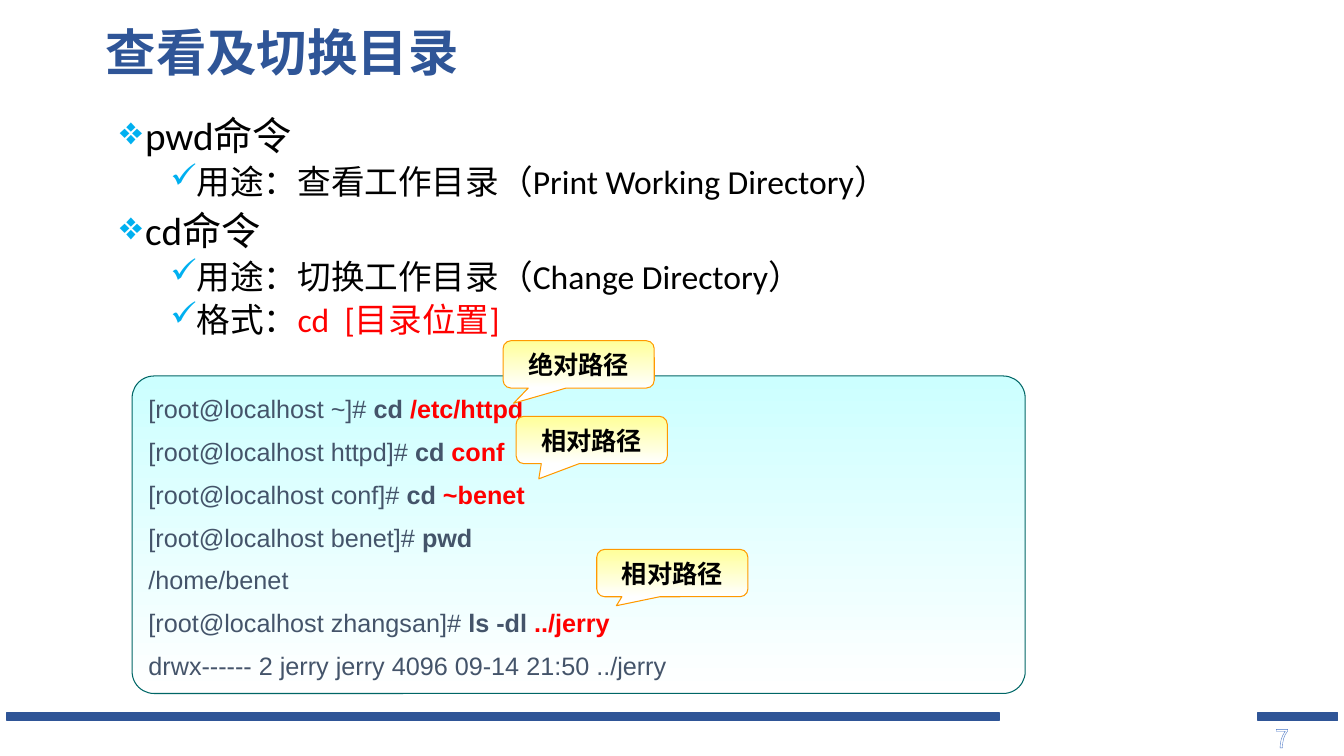
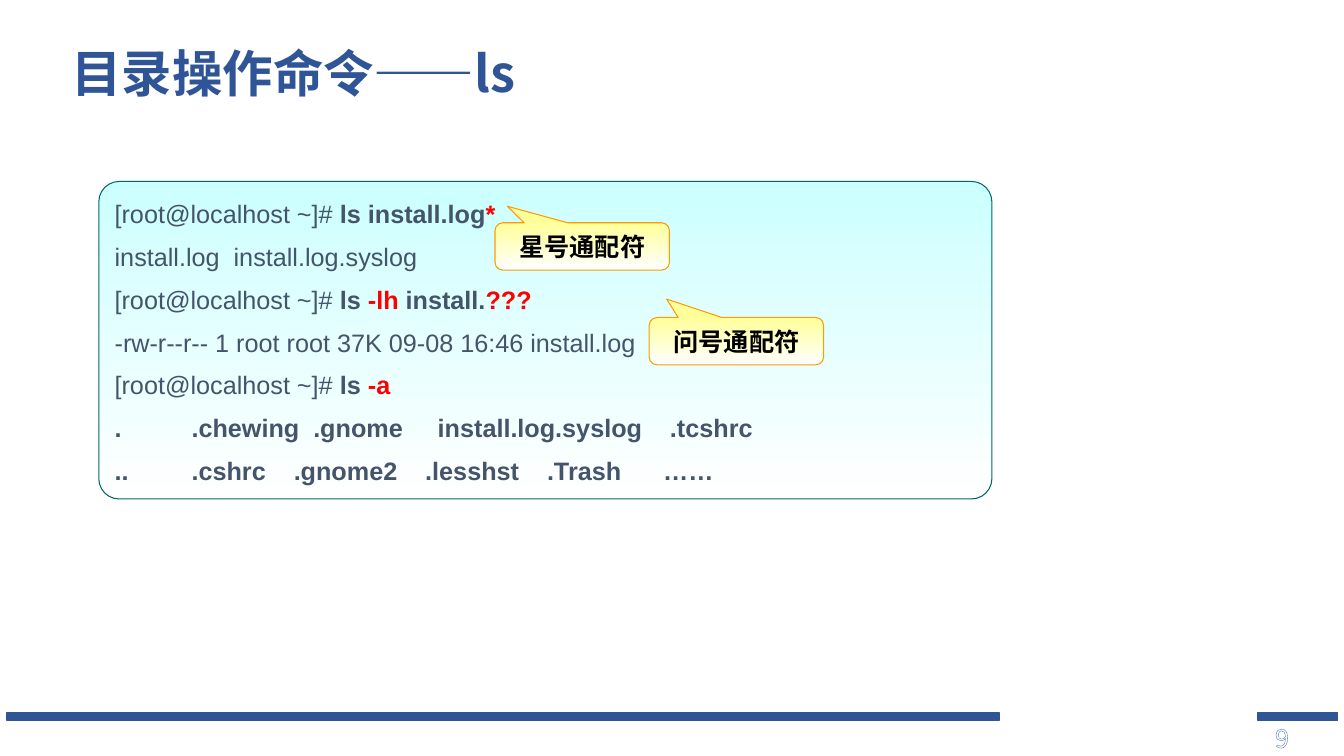
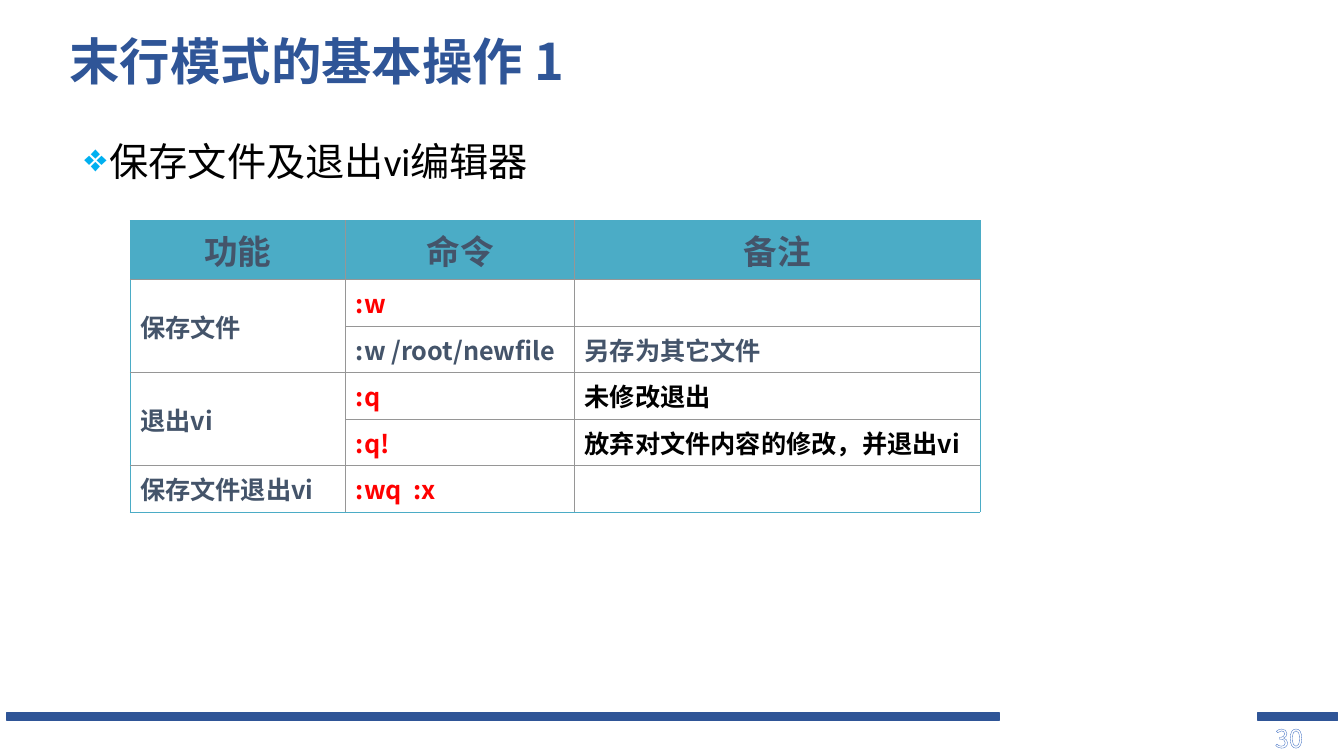
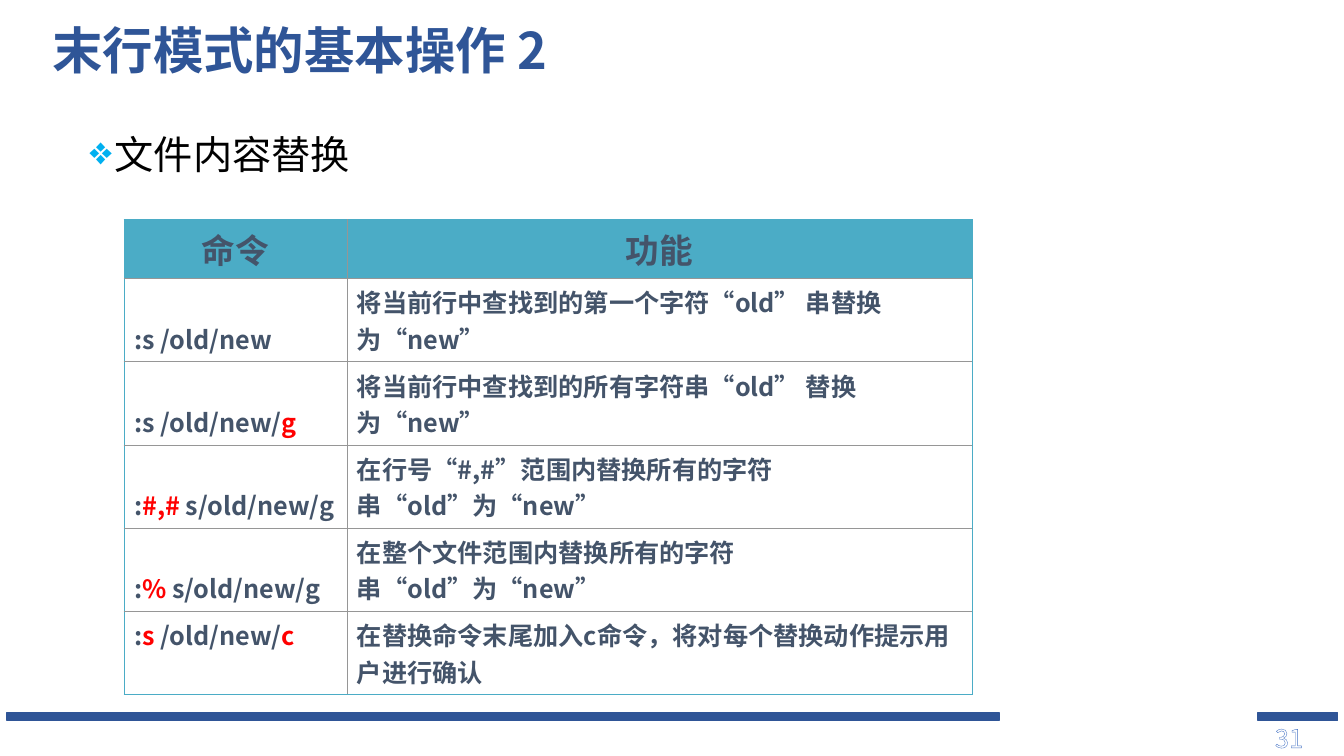
from lxml import etree
from pptx import Presentation
from pptx.dml.color import RGBColor
from pptx.enum.dml import MSO_PATTERN
from pptx.enum.shapes import MSO_SHAPE
from pptx.enum.text import MSO_ANCHOR, PP_ALIGN
from pptx.oxml.ns import qn
from pptx.util import Inches, Pt

RECTANGLE = MSO_SHAPE.RECTANGLE
ROUNDED = MSO_SHAPE.ROUNDED_RECTANGLE
CALLOUT = MSO_SHAPE.ROUNDED_RECTANGULAR_CALLOUT
HATCH = MSO_PATTERN.LIGHT_DOWNWARD_DIAGONAL
TOP, MIDDLE, BOTTOM = MSO_ANCHOR.TOP, MSO_ANCHOR.MIDDLE, MSO_ANCHOR.BOTTOM
LEFT, CENTER = PP_ALIGN.LEFT, PP_ALIGN.CENTER

COLORS = {
    "blue": "2F5597", "black": "000000", "white": "FFFFFF", "red": "FF0000",
    "slate": "44546A", "bullet": "00B0F0", "hatch": "8FAADC", "outline": "4472C4",
    "code": "CCFFFF", "code line": "006666", "note": "FFFF99", "note line": "FF9900",
    "header": "4BACC6", "grid": "969696",
}
CJK, LATIN, CODE = "Noto Sans CJK SC", "Calibri", "Arial"

# bullet sign, text size, left margin in inches, space before in points
BULLETS = [("❖", 28, 0.25, 6.8), ("✓", 24, 0.75, 4.8)]
HANGING = 0.25


def rgb(name):
    return RGBColor.from_string(COLORS[name])


def add_solid_fill(parent, color):
    fill = etree.SubElement(parent, qn("a:solidFill"))
    etree.SubElement(fill, qn("a:srgbClr"), val=COLORS[color])


class Deck:
    """Holds the style and the current slide; lengths are percent of the slide."""

    def __init__(self):
        self.presentation = Presentation()
        self.presentation.slide_width = Inches(13.33)
        self.presentation.slide_height = Inches(7.5)
        self.slide = None

    def x(self, share):
        return round(self.presentation.slide_width * share / 100)

    def y(self, share):
        return round(self.presentation.slide_height * share / 100)

    def box(self, left, top, width, height):
        return self.x(left), self.y(top), self.x(width), self.y(height)

    def new_slide(self, number, title, left, top):
        self.slide = self.presentation.slides.add_slide(self.presentation.slide_layouts[6])
        for band_left, band_width in ((0.53, 73.8), (93.6, 5.93)):
            band = self.shape(RECTANGLE, (band_left, 94.27, band_width, 1.07), "blue", 1)
            band.fill.solid()
            band.fill.fore_color.rgb = rgb("blue")
        self.page_number(number)
        frame = self.text_box((left, top, 71.85, 9.33), MIDDLE)
        paragraph = frame.paragraphs[0]
        paragraph.line_spacing = 0.9
        self.add_runs(paragraph, title, CJK, 36, "blue", True)

    def page_number(self, number):
        paragraph = self.text_box((94.13, 94.93, 5.4, 5.33)).paragraphs[0]
        self.add_runs(paragraph, str(number), CJK, 18, "blue")
        run = paragraph.runs[0]
        fill = run.font.fill
        fill.patterned()
        fill.pattern = HATCH
        fill.fore_color.rgb = rgb("hatch")
        fill.back_color.rgb = rgb("white")
        outline = etree.Element(qn("a:ln"), w=str(Pt(1)))
        add_solid_fill(outline, "outline")
        run._r.get_or_add_rPr().insert(0, outline)

    def text_box(self, box, anchor=TOP):
        frame = self.slide.shapes.add_textbox(*self.box(*box)).text_frame
        frame.word_wrap = True
        frame.vertical_anchor = anchor
        return frame

    def shape(self, kind, box, line, line_width, gradient=None):
        shape = self.slide.shapes.add_shape(kind, *self.box(*box))
        shape.shadow.inherit = False
        shape.line.color.rgb = rgb(line)
        shape.line.width = Pt(line_width)
        if gradient:
            shape.fill.gradient()
            shape.fill.gradient_angle = 270
            for stop, color in zip(shape.fill.gradient_stops, (gradient, "white")):
                stop.color.rgb = rgb(color)
        return shape

    def add_runs(self, paragraph, parts, font, size, color, bold=False):
        """Parts are a string, or a list of strings and (text, color, bold) tuples."""
        for part in [parts] if isinstance(parts, str) else parts:
            text, part_color, part_bold = (part, color, bold) if isinstance(part, str) else part
            run = paragraph.add_run()
            run.text = text
            run.font.name = font
            run.font.size = Pt(size)
            run.font.bold = part_bold
            run.font.color.rgb = rgb(part_color)
            etree.SubElement(run._r.get_or_add_rPr(), qn("a:ea"), typeface=CJK)

    def paragraphs(self, frame, count):
        return [frame.paragraphs[0]] + [frame.add_paragraph() for _ in range(count - 1)]

    def bullets(self, left, top, height, items):
        """Items are (level, parts) pairs."""
        frame = self.text_box((left, top, 69.75, height))
        for index, paragraph in enumerate(self.paragraphs(frame, len(items))):
            level, parts = items[index]
            sign, size, margin, space = BULLETS[level]
            paragraph.level = level
            paragraph.line_spacing = 0.9
            if index:
                paragraph.space_before = Pt(space)
            properties = paragraph._p.get_or_add_pPr()
            properties.set("marL", str(Inches(margin)))
            properties.set("indent", str(-Inches(HANGING)))
            color = etree.SubElement(properties, qn("a:buClr"))
            etree.SubElement(color, qn("a:srgbClr"), val=COLORS["bullet"])
            etree.SubElement(properties, qn("a:buChar"), char=sign)
            self.add_runs(paragraph, parts, LATIN, size, "black")

    def terminal(self, left, top, corner, lines):
        panel = self.shape(ROUNDED, (left, top, 66.45, 42), "code line", 0.75, "code")
        panel.adjustments[0] = corner
        frame = panel.text_frame
        frame.word_wrap = True
        frame.vertical_anchor = TOP
        for index, paragraph in enumerate(self.paragraphs(frame, len(lines))):
            paragraph.alignment = LEFT
            paragraph.line_spacing = 1.2
            if index:
                paragraph.space_before = Pt(4.7)
            self.add_runs(paragraph, lines[index], CODE, 18, "slate")

    def callout(self, left, top, text, tip_x, tip_y):
        width = 4.33 + 1.73 * len(text)
        note = self.shape(CALLOUT, (left, top, width, 6.27), "note line", 0.75, "note")
        note.adjustments[0], note.adjustments[1] = tip_x, tip_y
        note.text_frame.word_wrap = True
        note.text_frame.vertical_anchor = MIDDLE
        paragraph = note.text_frame.paragraphs[0]
        paragraph.alignment = CENTER
        self.add_runs(paragraph, text, CJK, 18, "black", True)

    def table(self, left, top, columns, row_height, rows, merged=(), top_cells=()):
        """Merged lists cells that span two rows; top_cells those set at the top."""
        header_height = 7.78
        height = header_height + row_height * (len(rows) - 1)
        box = self.box(left, top, sum(columns), height)
        table = self.slide.shapes.add_table(len(rows), len(columns), *box).table
        table.first_row = table.horz_banding = False
        for column, width in zip(table.columns, columns):
            column.width = self.x(width)
        for r, row in enumerate(rows):
            table.rows[r].height = self.y(row_height if r else header_height)
            for c, parts in enumerate(row):
                cell = table.cell(r, c)
                self.cell_style(cell, r == 0, {
                    "L": c == 0, "R": c == len(columns) - 1,
                    "T": r == 0, "B": r == len(rows) - 1})
                paragraph = cell.text_frame.paragraphs[0]
                paragraph.font.size = Pt(18)
                paragraph.alignment = LEFT if r else CENTER
                if parts:
                    self.add_runs(paragraph, parts, CJK, 18 if r else 24, "slate", True)
                if (r, c) in top_cells:
                    cell.vertical_anchor = TOP
        for r, c in merged:
            table.cell(r, c).merge(table.cell(r + 1, c))
            table.cell(r, c).vertical_anchor = MIDDLE

    def cell_style(self, cell, is_header, outer_edges):
        cell.vertical_anchor = BOTTOM
        if is_header:
            cell.fill.solid()
            cell.fill.fore_color.rgb = rgb("header")
        else:
            cell.fill.background()
        properties = cell._tc.get_or_add_tcPr()
        for index, (edge, is_outer) in enumerate(outer_edges.items()):
            border = etree.Element(qn("a:ln" + edge), w=str(Pt(0.5)))
            add_solid_fill(border, "header" if is_outer else "grid")
            properties.insert(index, border)


def command(text):
    return text, "slate", True


def key(text):
    return text, "red", True


def prompt(folder):
    return f"[root@localhost {folder}]# "


def main():
    deck = Deck()

    deck.new_slide(7, "查看及切换目录", 7.13, 2.67)
    deck.bullets(8.18, 14.8, 31, [
        (0, "pwd命令"),
        (1, "用途：查看工作目录（Print Working Directory）"),
        (0, "cd命令"),
        (1, "用途：切换工作目录（Change Directory）"),
        (1, ["格式：", ("cd  [目录位置]", "red", False)]),
    ])
    deck.terminal(9.83, 49.73, 0.069, [
        [prompt("~"), command("cd "), key("/etc/httpd")],
        [prompt("httpd"), command("cd "), key("conf")],
        [prompt("conf"), command("cd "), key("~benet")],
        [prompt("benet"), command("pwd")],
        "/home/benet",
        [prompt("zhangsan"), command("ls -dl "), key("../jerry")],
        "drwx------ 2 jerry jerry 4096 09-14 21:50 ../jerry",
    ])
    deck.callout(37.43, 45.07, "绝对路径", -0.43, 0.82)
    deck.callout(38.4, 55.07, "相对路径", -0.35, 0.82)
    deck.callout(44.4, 72.67, "相对路径", -0.37, 0.69)

    deck.new_slide(9, "目录操作命令——ls", 4.58, 5.47)
    deck.terminal(7.35, 24, 0.064, [
        [prompt("~"), command("ls install.log"), key("*")],
        "install.log  install.log.syslog",
        [prompt("~"), command("ls "), key("-lh "), command("install."), key("???")],
        "-rw-r--r-- 1 root root 37K 09-08 16:46 install.log",
        [prompt("~"), command("ls "), key("-a")],
        [command(".          .chewing  .gnome     install.log.syslog    .tcshrc")],
        [command("..         .cshrc    .gnome2    .lesshst    .Trash      ……")],
    ])
    deck.callout(36.83, 29.47, "星号通配符", -0.43, -0.85)
    deck.callout(48.3, 42, "问号通配符", -0.4, -0.89)

    deck.new_slide(30, "末行模式的基本操作 1", 4.43, 3.87)
    deck.bullets(5.55, 18.27, 8, [(0, "保存文件及退出vi编辑器")])
    deck.table(9.68, 29.2, (16.05, 17.03, 30.15), 6.15, [
        ("功能", "命令", "备注"),
        ("保存文件", [key(":w")], ""),
        ("", ":w /root/newfile", "另存为其它文件"),
        ("退出vi", [key(":q")], [("未修改退出", "black", True)]),
        ("", [key(":q!")], [("放弃对文件内容的修改，并退出vi", "black", True)]),
        ("保存文件退出vi", [key(":wq  :x")], ""),
    ], merged=[(1, 0), (3, 0)])

    deck.new_slide(31, "末行模式的基本操作 2", 3.15, 2.4)
    deck.bullets(5.93, 17.33, 8, [(0, "文件内容替换")])
    deck.table(9.23, 29.07, (16.58, 46.5), 11, [
        ("命令", "功能"),
        (":s /old/new", "将当前行中查找到的第一个字符“old” 串替换为“new”"),
        ([":s /old/new/", key("g")], "将当前行中查找到的所有字符串“old” 替换为“new”"),
        ([":", key("#,#"), " s/old/new/g"], "在行号“#,#”范围内替换所有的字符串“old”为“new”"),
        ([":", key("%"), " s/old/new/g"], "在整个文件范围内替换所有的字符串“old”为“new”"),
        ([":", key("s"), " /old/new/", key("c")],
         "在替换命令末尾加入c命令，将对每个替换动作提示用户进行确认"),
    ], top_cells=[(5, 0)])

    deck.presentation.save("out.pptx")


if __name__ == "__main__":
    main()
